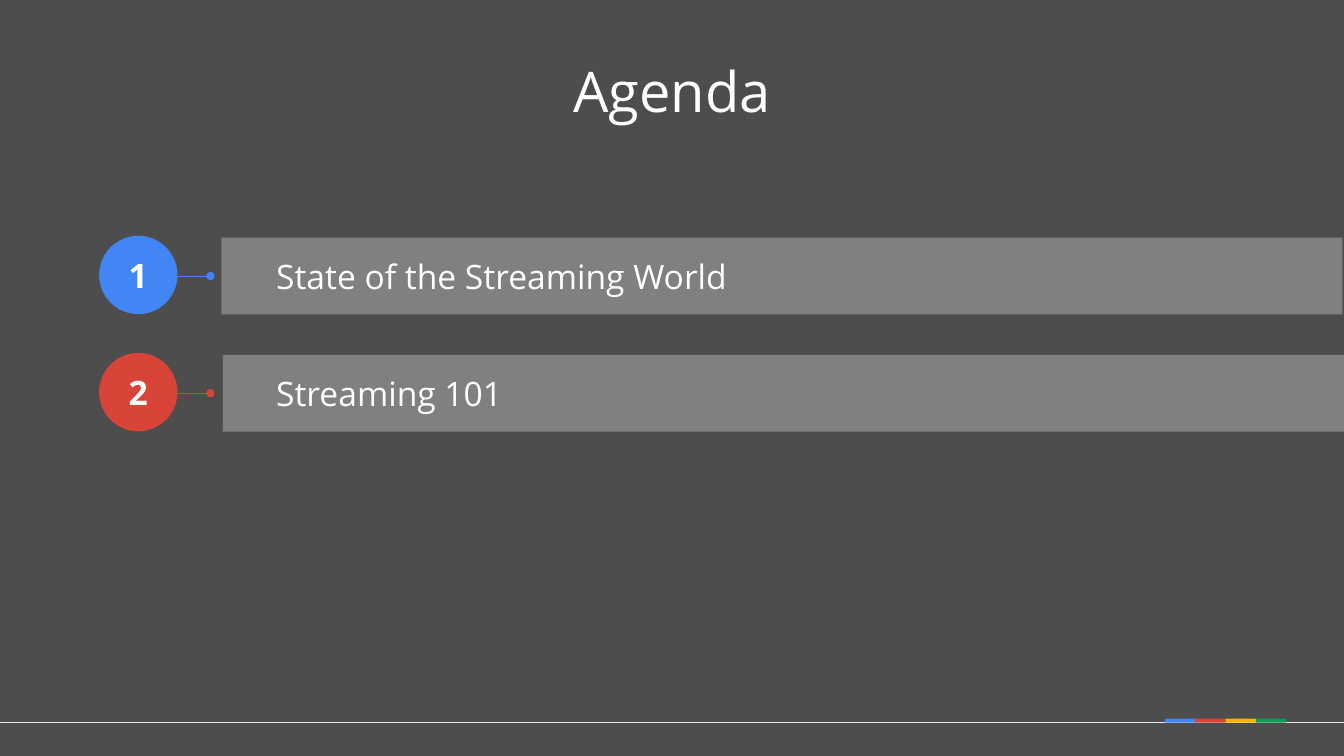
from lxml import etree
from pptx import Presentation
from pptx.dml.color import RGBColor
from pptx.enum.shapes import MSO_CONNECTOR, MSO_SHAPE
from pptx.enum.text import MSO_ANCHOR, PP_ALIGN
from pptx.oxml.ns import qn
from pptx.util import Pt

RECTANGLE, OVAL = MSO_SHAPE.RECTANGLE, MSO_SHAPE.OVAL
STRAIGHT = MSO_CONNECTOR.STRAIGHT
MIDDLE, BOTTOM = MSO_ANCHOR.MIDDLE, MSO_ANCHOR.BOTTOM
LEFT, CENTER = PP_ALIGN.LEFT, PP_ALIGN.CENTER

THEME = {
    "font": "Open Sans", "title": 40, "body": 24,
    "background": "4D4D4D", "bar": "808080", "rule": "E6E6E6", "text": "FFFFFF",
    "blue": "4285F4", "red": "D84437", "yellow": "F4B400", "green": "0F9D58",
}

TITLE = "Agenda"
AGENDA = [
    {"topic": "State of the Streaming World", "color": "blue", "bar_left": 158.2},
    {"topic": "Streaming 101", "color": "red", "bar_left": 159.2},
]
STRIPES = ["blue", "red", "yellow", "green"]

SLIDE_W, SLIDE_H = 960, 540
ROW_TOP, ROW_PITCH = 168.4, 83.7
BADGE_LEFT, BADGE_SIZE = 70.8, 56
BAR_W, BAR_H, BAR_DROP = 800.8, 54.8, 1.4
TOPIC_LEFT = 197.3
LINK_FROM, LINK_TO, LINK_DROP = 95, 150.3, 28.8
RULE_Y = 516.1
STRIPE_LEFT, STRIPE_TOP, STRIPE_W, STRIPE_H = 832.3, 513.4, 21.6, 2.9
INSET = 7.2


def rgb(name):
    return RGBColor.from_string(THEME[name])


def add_block(kind, left, top, width, height, color):
    block = slide.shapes.add_shape(kind, Pt(left), Pt(top), Pt(width), Pt(height))
    block.shadow.inherit = False
    block.fill.solid()
    block.fill.fore_color.rgb = rgb(color)
    block.line.fill.background()
    return block


def add_line(x1, y1, x2, y2, color):
    line = slide.shapes.add_connector(STRAIGHT, Pt(x1), Pt(y1), Pt(x2), Pt(y2))
    line.line.color.rgb = rgb(color)
    line.line.width = Pt(0.75)
    etree.SubElement(line._element.spPr, qn("a:effectLst"))
    return line


def write(holder, text, size, align, anchor, bold=False, left=INSET, right=INSET):
    frame = holder.text_frame
    frame_format = {
        "word_wrap": True, "vertical_anchor": anchor,
        "margin_left": Pt(left), "margin_right": Pt(right),
        "margin_top": Pt(INSET), "margin_bottom": Pt(INSET),
    }
    for key, value in frame_format.items():
        setattr(frame, key, value)
    paragraph = frame.paragraphs[0]
    paragraph.alignment = align
    run = paragraph.add_run()
    run.text = text
    for key, value in {"name": THEME["font"], "size": Pt(THEME[size]), "bold": bold}.items():
        setattr(run.font, key, value)
    run.font.color.rgb = rgb("text")


prs = Presentation()
prs.slide_width, prs.slide_height = Pt(SLIDE_W), Pt(SLIDE_H)
slide = prs.slides.add_slide(prs.slide_layouts[6])
slide.background.fill.solid()
slide.background.fill.fore_color.rgb = rgb("background")

add_line(SLIDE_W, RULE_Y, 0, RULE_Y, "rule")
for index, color in enumerate(STRIPES):
    add_block(RECTANGLE, STRIPE_LEFT + index * STRIPE_W, STRIPE_TOP, STRIPE_W, STRIPE_H, color)

for index, item in enumerate(AGENDA):
    top = ROW_TOP + index * ROW_PITCH
    link = add_line(LINK_FROM, top + LINK_DROP, LINK_TO, top + LINK_DROP, item["color"])
    etree.SubElement(link.line._get_or_add_ln(), qn("a:tailEnd"), type="oval")
    bar = add_block(RECTANGLE, item["bar_left"], top + BAR_DROP, BAR_W, BAR_H, "bar")
    write(bar, item["topic"], "body", LEFT, MIDDLE, left=TOPIC_LEFT - item["bar_left"])
    badge = add_block(OVAL, BADGE_LEFT, top, BADGE_SIZE, BADGE_SIZE, item["color"])
    write(badge, str(index + 1), "body", CENTER, MIDDLE, bold=True, left=0, right=0)

title = slide.shapes.add_textbox(Pt(0), Pt(56.2), Pt(SLIDE_W), Pt(39.6))
write(title, TITLE, "title", CENTER, BOTTOM)

prs.save("out.pptx")
